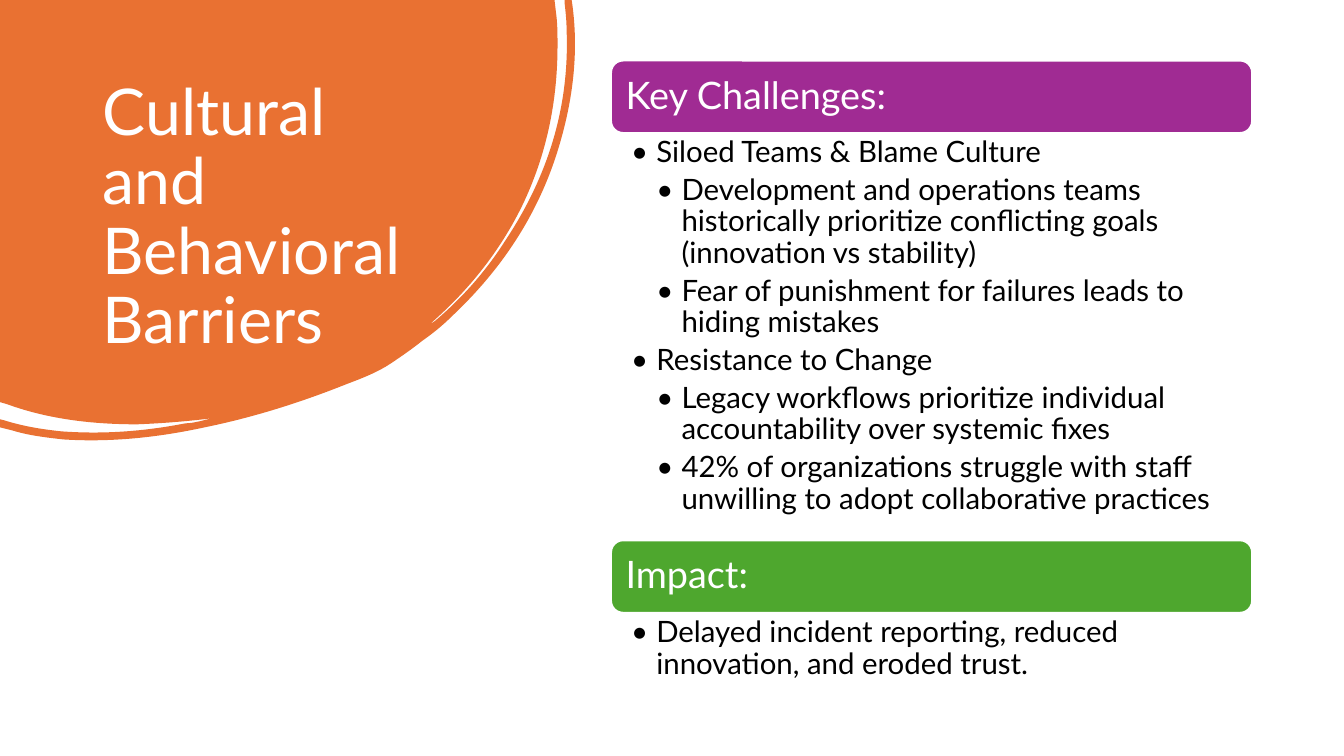
from lxml import etree
from pptx import Presentation, util as u
from pptx.dml.color import RGBColor
from pptx.enum import shapes, text
from pptx.oxml.ns import qn

PX = 9144  # EMU per px, 100 px to the inch
COLORS = {"orange": "E97132", "purple": "A02B93", "green": "4EA72E",
          "white": "FFFFFF", "black": "000000"}
FONT = "Lato"

TITLE = "Cultural and Behavioral Barriers"
SECTIONS = [
    ("Key Challenges:", "purple", 404, [
        (1, "Siloed Teams & Blame Culture"),
        (2, "Development and operations teams historically prioritize "
            "conflicting goals (innovation vs stability)"),
        (2, "Fear of punishment for failures leads to hiding mistakes"),
        (1, "Resistance to Change"),
        (2, "Legacy workflows prioritize individual accountability "
            "over systemic fixes"),
        (2, "42% of organizations struggle with staff unwilling to adopt "
            "collaborative practices"),
    ]),
    ("Impact:", "green", 72, [
        (1, "Delayed incident reporting, reduced innovation, "
            "and eroded trust."),
    ]),
]

# Outline of the corner blob: 2 numbers draw a line, 6 draw a Bézier curve
BLOB_SIZE = (571, 437)
BLOB = [
    (0, 0), (550, 0), (552, 17),
    (553, 26, 553, 36, 553, 45), (553, 101, 542, 154, 518, 204),
    (496, 249, 465, 288, 427, 321), (429, 321, 430, 319, 432, 318),
    (459, 295, 482, 269, 501, 239), (543, 176, 565, 107, 562, 30),
    (562, 21, 561, 12, 560, 3),
    (560, 0), (567, 0), (568, 7),
    (574, 54, 568, 102, 553, 150), (533, 214, 497, 268, 448, 314),
    (439, 323, 429, 331, 419, 338), (409, 346, 399, 353, 387, 361),
    (375, 369, 360, 375, 344, 381), (299, 399, 252, 414, 203, 424),
    (157, 434, 110, 439, 63, 436), (45, 434, 28, 432, 12, 427),
    (0, 424), (0, 416), (4, 417),
    (23, 423, 42, 426, 61, 428), (103, 431, 143, 428, 184, 420),
    (189, 420, 193, 419, 198, 418), (202, 417, 206, 416, 210, 415),
    (186, 418, 161, 420, 136, 421), (92, 421, 48, 416, 7, 401),
    (0, 399),
]

LEFT, TOP, WIDTH, HEADER_HEIGHT = 606, 60, 636, 72
INDENT = 25


def rgb(name):
    return RGBColor.from_string(COLORS[name])


def px(*lengths):
    return [u.Emu(length * PX) for length in lengths]


def set_frame(shape, insets, anchor):
    frame = shape.text_frame
    left, top, right, bottom = px(*insets)
    settings = {"word_wrap": True, "auto_size": text.MSO_AUTO_SIZE.NONE,
                "vertical_anchor": anchor, "margin_left": left,
                "margin_top": top, "margin_right": right,
                "margin_bottom": bottom}
    for name, value in settings.items():
        setattr(frame, name, value)
    return frame


def write(paragraph, words, size, color, space_after=0):
    settings = {"alignment": text.PP_ALIGN.LEFT, "line_spacing": 0.9,
                "space_before": u.Pt(0), "space_after": u.Pt(space_after)}
    for name, value in settings.items():
        setattr(paragraph, name, value)
    run = paragraph.add_run()
    run.text = words
    run.font.name, run.font.size = FONT, u.Pt(size)
    run.font.color.rgb = rgb(color)


def add_bullet(paragraph, level):
    paragraph.level = level - 1
    properties = paragraph._p.get_or_add_pPr()
    properties.set("marL", str(level * INDENT * PX))
    properties.set("indent", str(-INDENT * PX))
    etree.SubElement(properties, qn("a:buFont")).set("typeface", FONT)
    etree.SubElement(properties, qn("a:buChar")).set("char", "•")


def bend(shape, outline, size):
    """Turn the segments that have control points into Bézier curves."""
    outline_path = next(shape._element.iter(qn("a:path")))
    for name, length in zip("wh", size):
        outline_path.set(name, str(length))
    shape.width, shape.height = px(*size)
    segments = outline_path.findall(qn("a:lnTo"))
    for segment, step in zip(segments, outline[1:]):
        if len(step) == 6:
            curve = etree.Element(qn("a:cubicBezTo"))
            for x, y in zip(step[::2], step[1::2]):
                point = etree.SubElement(curve, qn("a:pt"))
                point.set("x", str(x))
                point.set("y", str(y))
            outline_path.replace(segment, curve)


def add_blob(slide):
    ends = [step[-2:] for step in BLOB]
    builder = slide.shapes.build_freeform(*ends[0], scale=PX)
    builder.add_line_segments(ends[1:], close=True)
    blob = builder.convert_to_shape()
    bend(blob, BLOB, BLOB_SIZE)
    blob.shadow.inherit = False
    blob.fill.solid()
    blob.fill.fore_color.rgb = rgb("orange")
    blob.line.fill.background()


def add_title(slide):
    box = slide.shapes.add_textbox(*px(92, 74, 352, 222))
    frame = set_frame(box, (10, 5, 20, 5), text.MSO_ANCHOR.TOP)
    write(frame.paragraphs[0], TITLE, 46, "white")


def add_header(slide, top, heading, color):
    bar = slide.shapes.add_shape(shapes.MSO_SHAPE.ROUNDED_RECTANGLE,
                                 *px(LEFT, top, WIDTH, HEADER_HEIGHT))
    bar.shadow.inherit = False
    bar.fill.solid()
    bar.fill.fore_color.rgb = rgb(color)
    bar.line.color.rgb = rgb("white")
    bar.line.width = u.Pt(1.5)
    frame = set_frame(bar, (11, 11, 11, 11), text.MSO_ANCHOR.MIDDLE)
    write(frame.paragraphs[0], heading, 27, "white", 9.45)


def add_points(slide, top, height, points):
    box = slide.shapes.add_textbox(*px(LEFT, top, WIDTH, height))
    frame = set_frame(box, (20, 4, 21, 4), text.MSO_ANCHOR.TOP)
    for i, (level, words) in enumerate(points):
        paragraph = frame.add_paragraph() if i else frame.paragraphs[0]
        write(paragraph, words, 21, "black", 4.2)
        add_bullet(paragraph, level)


def main():
    deck = Presentation()
    deck.slide_width, deck.slide_height = u.Inches(13.33), u.Inches(7.5)
    slide = deck.slides.add_slide(deck.slide_layouts[6])
    add_blob(slide)
    add_title(slide)
    top = TOP
    for heading, color, height, points in SECTIONS:
        add_header(slide, top, heading, color)
        top += HEADER_HEIGHT
        add_points(slide, top, height, points)
        top += height
    deck.save("out.pptx")


if __name__ == "__main__":
    main()
